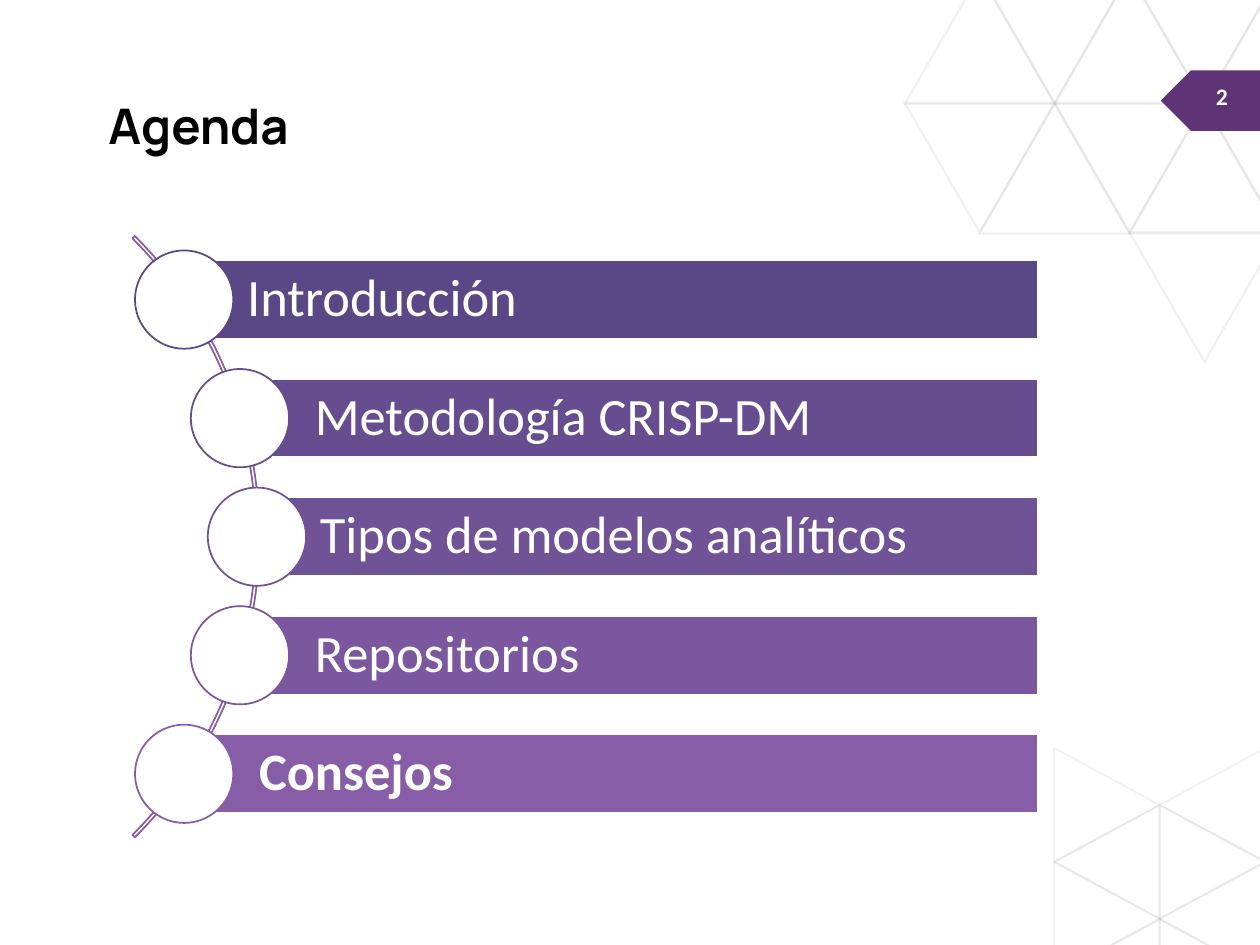
from math import sqrt

from lxml.etree import SubElement
from pptx import Presentation
from pptx.dml.color import RGBColor as Rgb
from pptx.enum.shapes import MSO_SHAPE as Kind
from pptx.enum.text import MSO_ANCHOR as Anchor, PP_ALIGN as Align
from pptx.oxml.ns import qn
from pptx.util import Cm, Pt

HUES = {
    "white": "FFFFFF",
    "black": "000000",
    "mesh": "A5A5A5",
    "tag": "5F3477",
    "arc": "875DA7",
}
ITEMS = [
    ("Introducción", "5A4886", False),
    (" Metodología CRISP-DM", "654D8F", False),
    ("Tipos de modelos analíticos", "705297", False),
    (" Repositorios", "7B57A0", False),
    (" Consejos", "875DA7", True),
]
# Triangles on a unit box, by the way they point
TIPS = {
    "up": [(0, 1), (0.5, 0), (1, 1)],
    "down": [(0, 0), (1, 0), (0.5, 1)],
    "left": [(1, 0), (1, 1), (0, 0.5)],
    "right": [(0, 0), (1, 0.5), (0, 1)],
}


def paint(shape, fill=None, line=None, width=1):
    shape.shadow.inherit = False
    if fill:
        shape.fill.solid()
        shape.fill.fore_color.rgb = Rgb.from_string(fill)
    else:
        shape.fill.background()
    if line:
        shape.line.color.rgb = Rgb.from_string(line)
        shape.line.width = Pt(width)
    else:
        shape.line.fill.background()


def style(para, face, size, hue, bold, align=Align.LEFT):
    para.alignment = align
    font = para.runs[0].font
    font.name, font.size, font.bold = face, Pt(size), bold
    font.color.rgb = Rgb.from_string(hue)


def add_tri(shapes, box, tip):
    """Thin triangular frame: an outer outline with a smaller one cut out."""
    left, top, wide, high = box
    outer = [(Cm(left + u * wide), Cm(top + v * high)) for u, v in TIPS[tip]]
    mid_x, mid_y = (sum(axis) / 3 for axis in zip(*outer))
    inner = [(mid_x + (x - mid_x) * 0.95, mid_y + (y - mid_y) * 0.95)
             for x, y in reversed(outer)]
    pen = shapes.build_freeform(*outer[0])
    pen.add_line_segments(outer[1:])
    pen.move_to(*inner[0])
    pen.add_line_segments(inner[1:])
    tri = pen.convert_to_shape()
    paint(tri, HUES["mesh"])
    color = tri.fill._xPr.find(qn("a:solidFill"))[0]
    SubElement(color, qn("a:alpha"), val="15000")


def add_mesh(slide, box, step, cols, tips):
    """Lattice from the first cell's box; cols lists the rows of each column."""
    left, top, wide, high = box
    shapes = slide.shapes.add_group_shape().shapes
    for col, rows in enumerate(cols):
        for row in rows:
            cell = (left + col * step[0], top + row * step[1], wide, high)
            add_tri(shapes, cell, tips[(col + row) % 2])


def add_tag(slide, box):
    left, top, wide, high = box
    tag = slide.shapes.add_shape(Kind.PENTAGON, *map(Cm, box))
    tag.rotation = 180
    paint(tag, HUES["tag"])
    note = slide.shapes.add_textbox(
        Cm(left + 0.48), Cm(top + 0.1), Cm(wide - 0.5), Cm(high - 0.2))
    note.text_frame.word_wrap = True
    note.text_frame.text = "2"
    style(note.text_frame.paragraphs[0], "Calibri", 13.5, HUES["white"],
          True, Align.CENTER)


def add_title(slide, box):
    title = slide.shapes.title
    title.left, title.top, title.width, title.height = map(Cm, box)
    frame = title.text_frame
    frame.text = "Agenda"
    frame.vertical_anchor = Anchor.MIDDLE
    style(frame.paragraphs[0], "Manrope", 28, HUES["black"], True)


def add_bar(shapes, box, text, hue, bold):
    bar = shapes.add_shape(Kind.RECTANGLE, *map(Cm, box))
    paint(bar, hue, HUES["white"], 1.5)
    frame = bar.text_frame
    frame.word_wrap = True
    frame.vertical_anchor = Anchor.MIDDLE
    frame.margin_left = Cm(1.27)
    frame.margin_right = frame.margin_top = frame.margin_bottom = Cm(0.2)
    frame.text = text
    para = frame.paragraphs[0]
    para.line_spacing = 0.9
    style(para, "Calibri", 30, HUES["white"], bold)


def add_list(slide, box):
    """Bars whose discs sit along an arc; the box holds the arc's circle."""
    left, top, size, right = box
    shapes = slide.shapes.add_group_shape().shapes
    arc = shapes.add_shape(
        Kind.BLOCK_ARC, Cm(left), Cm(top), Cm(size), Cm(size))
    for n, value in enumerate((189, 27, 0.004)):
        arc.adjustments[n] = value
    paint(arc, None, HUES["arc"])

    mid_x, mid_y = left + size / 2, top + size / 2
    reach, step, high, disc = size / 2 - 0.05, 2.39, 1.6, 1.98
    for n, (text, hue, bold) in enumerate(ITEMS):
        drop = (n - (len(ITEMS) - 1) / 2) * step
        x, y = mid_x + sqrt(reach ** 2 - drop ** 2), mid_y + drop
        add_bar(shapes, (x, y - high / 2, right - x, high), text, hue, bold)
        dot = shapes.add_shape(Kind.OVAL, Cm(x - disc / 2), Cm(y - disc / 2),
                               Cm(disc), Cm(disc))
        paint(dot, HUES["white"], hue)


def main():
    deck = Presentation()
    deck.slide_width, deck.slide_height = Cm(25.4), Cm(19.05)
    slide = deck.slides.add_slide(deck.slide_layouts[5])

    # Corner lattices
    add_mesh(slide, (18.2, -0.56, 3.1, 2.68), (1.51, 2.61),
             [(0, 1), (0, 1), (0, 1), (0, 1, 2), (0, 1)], ("up", "down"))
    add_mesh(slide, (21.23, 15.05, 2.18, 2.35), (2.12, 1.15),
             [range(4)] * 2, ("right", "left"))

    # Page tag, title and agenda
    add_tag(slide, (23.4, 1.42, 2, 1.22))
    add_title(slide, (1.93, 1.8, 11.96, 1.45))
    add_list(slide, (-11.91, 2.25, 17.14, 20.94))

    deck.save("out.pptx")


if __name__ == "__main__":
    main()
